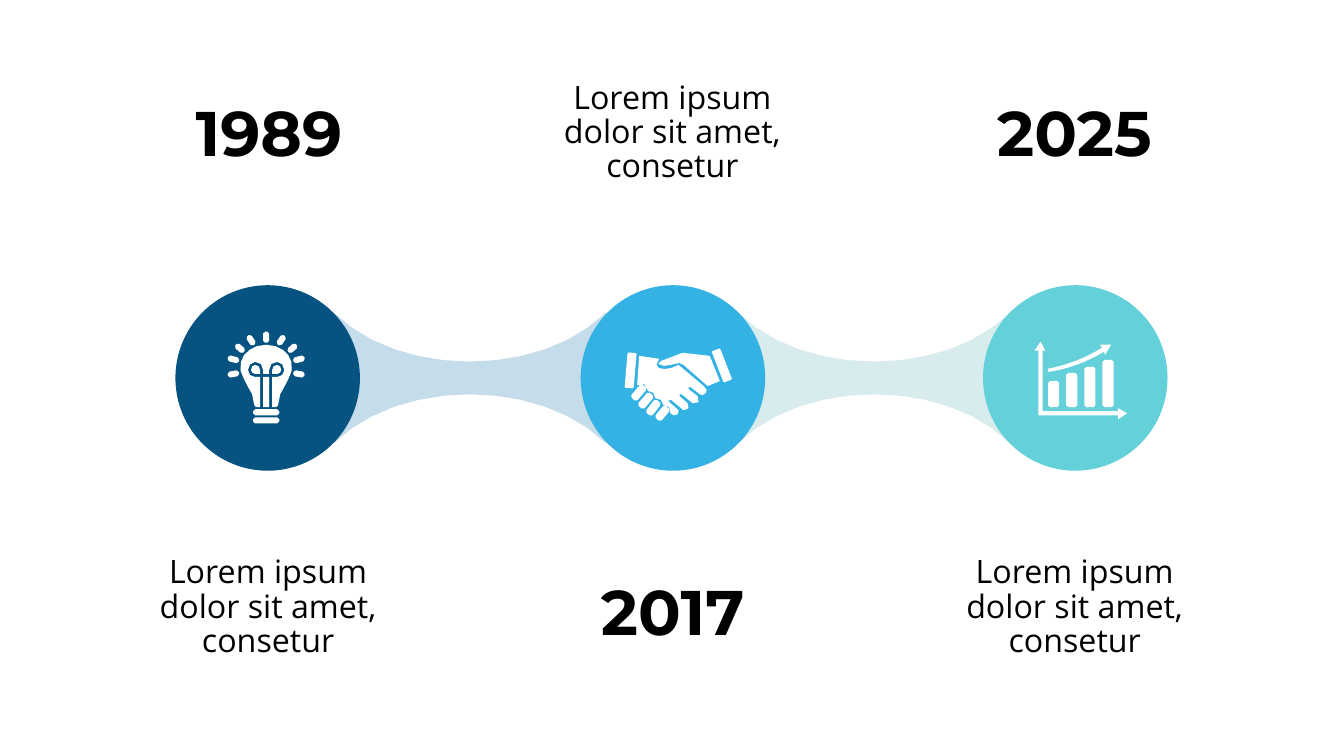
import math

import pptx
import pptx.dml.color
import pptx.enum.shapes
import pptx.enum.text
import pptx.util

RGBColor = pptx.dml.color.RGBColor
Inches = pptx.util.Inches

NAVY = RGBColor(0x06, 0x52, 0x80)
BLUE = RGBColor(0x34, 0xB2, 0xE3)
TEAL = RGBColor(0x64, 0xD1, 0xDA)
PALE_BLUE = RGBColor(0xC5, 0xDC, 0xEB)
PALE_TEAL = RGBColor(0xD8, 0xEC, 0xED)
WHITE = RGBColor(0xFF, 0xFF, 0xFF)
BLACK = RGBColor(0, 0, 0)


# Outlines: lists of points in inches
def trace(start, *segments):
    """Follow lines (x, y) and cubic curves (x1, y1, x2, y2, x, y)."""
    points = [start]
    for segment in segments:
        if len(segment) == 2:
            points.append(segment)
            continue
        corners = [points[-1], segment[0:2], segment[2:4], segment[4:6]]
        steps = min(12, max(2, round(math.dist(corners[0], corners[3]) / 0.07)))
        for step in range(1, steps + 1):
            t = step / steps
            weights = [math.comb(3, k) * t**k * (1 - t)**(3 - k) for k in range(4)]
            points.append(tuple(sum(w * c[axis] for w, c in zip(weights, corners))
                                for axis in (0, 1)))
    return points


def slab(x1, y1, x2, y2, width, cut):
    """A bar between two end points, with its corners cut off."""
    length = math.hypot(x2 - x1, y2 - y1)
    ux, uy = (x2 - x1) / length, (y2 - y1) / length
    half = width / 2
    corners = [(length, half - cut), (length - cut, half), (cut, half), (0, half - cut),
               (0, cut - half), (cut, -half), (length - cut, -half), (length, cut - half)]
    return [(x1 + a * ux - b * uy, y1 + a * uy + b * ux) for a, b in corners]


def mirror(points, axis):
    return [(2 * axis - x, y) for x, y in reversed(points)]


class TimelineSlide:
    def __init__(self, page):
        self.shapes = page.shapes

    def paint(self, shape, color):
        shape.shadow.inherit = False
        shape.fill.solid()
        shape.fill.fore_color.rgb = color
        shape.line.fill.background()

    def circle(self, left, top, width, height, color):
        oval = pptx.enum.shapes.MSO_SHAPE.OVAL
        self.paint(self.shapes.add_shape(
            oval, Inches(left), Inches(top), Inches(width), Inches(height)), color)

    def outline(self, contours, color):
        builder = None
        for contour in contours:
            points = [(Inches(x), Inches(y)) for x, y in contour]
            if builder is None:
                builder = self.shapes.build_freeform(*points[0])
            else:
                builder.move_to(*points[0])
            builder.add_line_segments(points[1:], close=True)
        self.paint(builder.convert_to_shape(), color)

    def text(self, left, top, width, height, words, font, size, inset=(0, 0),
             bold=False, align=pptx.enum.text.PP_ALIGN.LEFT, spacing=1.0):
        box = self.shapes.add_textbox(
            Inches(left), Inches(top), Inches(width), Inches(height))
        frame = box.text_frame
        frame.word_wrap = True
        frame.margin_left = frame.margin_right = Inches(inset[0])
        frame.margin_top = frame.margin_bottom = Inches(inset[1])
        para = frame.paragraphs[0]
        para.text = words
        para.alignment = align
        para.line_spacing = spacing
        para.font.name = font
        para.font.size = pptx.util.Pt(size)
        para.font.bold = bold
        para.font.color.rgb = BLACK

    def year(self, left, top, width, words):
        self.text(left, top, width, 0.93, words, "Montserrat", 45, bold=True)

    def description(self, left, top):
        self.text(left, top, 2.52, 1.26, "Lorem ipsum dolor sit amet, consetur",
                  "Open Sans", 23, inset=(0.1, 0.05),
                  align=pptx.enum.text.PP_ALIGN.CENTER, spacing=0.89)

    def neck(self, left, color):
        right, top, bottom = left + 2.7, 3.1, 4.4
        self.outline([trace(
            (right, bottom),
            (right - 0.65, 3.75, left + 0.65, 3.75, left, bottom),
            (left, top),
            (left + 0.65, 3.75, right - 0.65, 3.75, right, top))], color)

    def bulb(self):
        axis = 2.64
        half = trace(
            (axis, 3.42), (2.51, 3.42, 2.41, 3.5, 2.39, 3.59),
            (2.37, 3.65, 2.39, 3.71, 2.42, 3.76), (2.44, 3.81, 2.47, 3.85, 2.5, 3.91),
            (2.52, 4.01), (2.52, 4.03, 2.53, 4.04, 2.56, 4.04),
            (2.58, 4.04), (2.58, 3.74), (2.53, 3.74),
            (2.49, 3.74, 2.46, 3.71, 2.46, 3.67), (2.46, 3.63, 2.49, 3.59, 2.53, 3.59),
            (2.58, 3.59, 2.61, 3.62, 2.61, 3.67), (2.61, 3.71), (axis, 3.71))
        lobe = trace(
            (2.53, 3.62), (2.51, 3.62, 2.49, 3.64, 2.49, 3.67),
            (2.49, 3.69, 2.51, 3.71, 2.53, 3.71), (2.58, 3.71), (2.58, 3.67),
            (2.58, 3.64, 2.56, 3.62, 2.53, 3.62))
        rays = [slab(*ends, 0.06, 0.02) for ends in [
            (2.46, 3.33, 2.52, 3.42), (2.34, 3.42, 2.42, 3.49),
            (2.26, 3.55, 2.37, 3.58), (2.26, 3.72, 2.37, 3.7)]]
        sides = [lobe] + rays
        centre = [slab(axis, 3.29, axis, 3.4, 0.06, 0.02),
                  trace((2.61, 3.74), (2.67, 3.74), (2.67, 4.04), (2.61, 4.04))]
        base = [slab(2.51, y, 2.77, y, 0.06, 0.02) for y in (4.09, 4.17)]
        self.outline([half + mirror(half, axis)] + sides
                     + [mirror(side, axis) for side in sides] + centre + base, WHITE)

    def handshake(self):
        cuffs = [slab(7.1, 3.47, 7.22, 3.78, 0.09, 0.01),
                 slab(6.27, 3.5, 6.24, 3.85, 0.09, 0.01)]
        fingers = [slab(*ends, 0.08, 0.02) for ends in [
            (6.52, 4.16, 6.62, 4.04), (6.43, 4.11, 6.53, 3.98),
            (6.35, 4.04, 6.46, 3.91), (6.28, 3.96, 6.39, 3.83)]]
        right_hand = trace(
            (7.04, 3.53), (7.14, 3.78), (7.02, 3.83), (6.78, 3.62), (6.74, 3.6),
            (6.65, 3.62), (6.62, 3.63, 6.55, 3.64, 6.53, 3.61),
            (6.56, 3.58), (6.77, 3.5))
        left_hand = trace(
            (7, 3.9), (7.01, 3.87), (6.98, 3.83), (6.73, 3.62), (6.66, 3.65),
            (6.62, 3.66, 6.56, 3.67, 6.53, 3.65), (6.5, 3.64, 6.51, 3.59, 6.54, 3.56),
            (6.34, 3.53), (6.32, 3.82), (6.36, 3.78, 6.43, 3.82, 6.43, 3.88),
            (6.46, 3.87, 6.51, 3.91, 6.5, 3.95), (6.54, 3.94, 6.58, 3.98, 6.58, 4.02),
            (6.62, 4.01, 6.67, 4.05, 6.65, 4.1), (6.68, 4.12),
            (6.71, 4.13, 6.75, 4.1, 6.73, 4.07), (6.64, 3.99), (6.63, 3.97),
            (6.66, 3.97), (6.78, 4.07), (6.82, 4.08, 6.86, 4.03, 6.82, 4),
            (6.74, 3.93), (6.74, 3.91), (6.76, 3.91), (6.87, 4),
            (6.91, 4.03, 6.97, 3.97, 6.92, 3.93), (6.83, 3.86), (6.83, 3.84),
            (6.85, 3.84), (6.94, 3.91), (6.97, 3.92))
        self.outline(cuffs + fingers + [right_hand, left_hand], WHITE)

    def growth_chart(self):
        bars = [slab(10.45 + 0.18 * i, top, 10.45 + 0.18 * i, 4.04, 0.11, 0.02)
                for i, top in enumerate((3.78, 3.7, 3.64, 3.57))]
        trend = trace(
            (10.4, 3.69), (10.6, 3.66, 10.78, 3.59, 10.95, 3.49), (10.96, 3.52),
            (11.02, 3.42), (10.91, 3.42), (10.93, 3.45),
            (10.77, 3.55, 10.59, 3.62, 10.39, 3.66))
        axes = trace(
            (11.18, 4.1), (11.09, 4.05), (11.09, 4.08), (10.34, 4.08), (10.34, 3.48),
            (10.37, 3.48), (10.32, 3.39), (10.26, 3.48), (10.3, 3.48), (10.3, 4.12),
            (11.09, 4.12), (11.09, 4.16))
        self.outline(bars + [trend, axes], WHITE)


def main():
    deck = pptx.Presentation()
    deck.slide_width, deck.slide_height = Inches(13.33), Inches(7.5)
    timeline = TimelineSlide(deck.slides.add_slide(deck.slide_layouts[6]))

    # Years and descriptions, alternating above and below
    for left, top, width, words in [
            (1.94, 0.93, 1.85, "1989"), (5.96, 5.68, 1.83, "2017"),
            (9.89, 0.93, 1.97, "2025")]:
        timeline.year(left, top, width, words)
    for left, top in [(1.4, 5.47), (5.41, 0.76), (9.4, 5.47)]:
        timeline.description(left, top)

    # Chain of circles
    for left, color in [(7.32, PALE_TEAL), (3.31, PALE_BLUE)]:
        timeline.neck(left, color)
    for left, color in [(9.75, TEAL), (5.76, BLUE), (1.74, NAVY)]:
        timeline.circle(left, 2.83, 1.83, 1.84, color)

    # Icons
    timeline.bulb()
    timeline.handshake()
    timeline.growth_chart()

    deck.save("out.pptx")


if __name__ == "__main__":
    main()
